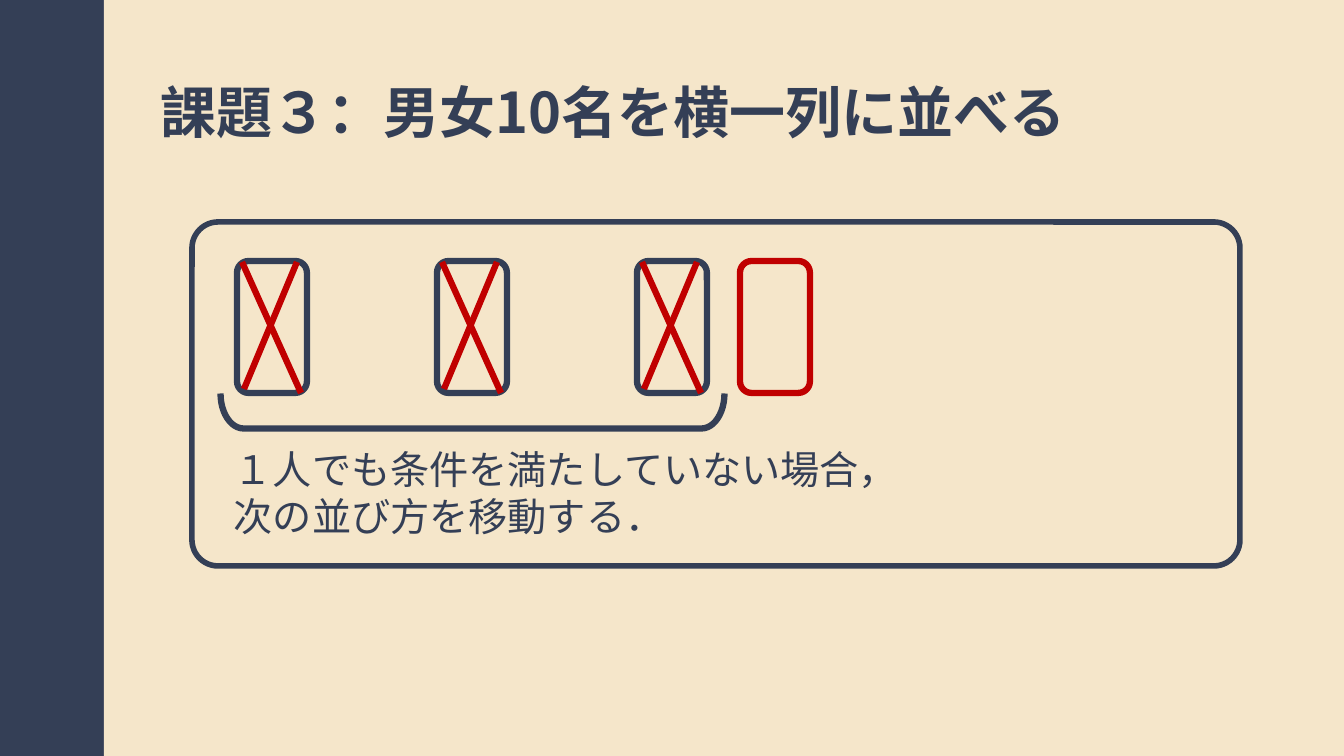
from lxml.etree import SubElement
from pptx import Presentation
from pptx.dml.color import RGBColor
from pptx.enum.shapes import MSO_CONNECTOR, MSO_SHAPE
from pptx.enum.text import MSO_ANCHOR, MSO_AUTO_SIZE, PP_ALIGN
from pptx.oxml.ns import qn
from pptx.util import Emu, Pt

COLORS = {"navy": "343F56", "cream": "F5E6CA", "red": "C00000"}
FONT = "Noto Sans CJK JP"
TITLE = {"size": Pt(40), "bold": True, "name": FONT}
NOTE = {"size": Pt(28), "bold": False, "name": FONT}
CARD_SIZE = (70, 132)
CARD_STEP = 200


def px(length):
    """Turn slide pixels into EMU."""
    return Emu(round(length * 914400 / 100.8))


def color(name):
    """Look up a named colour."""
    return RGBColor.from_string(COLORS[name])


def write(box, text, style, frame_style, paragraph_style):
    """Put one formatted paragraph into a shape."""
    frame = box.text_frame
    para = frame.paragraphs[0]
    span = para.add_run()
    span.text = text
    for target, values in ((frame, frame_style), (para, paragraph_style),
                           (span.font, style)):
        for key, value in values.items():
            setattr(target, key, value)
    span.font.color.rgb = color("navy")
    SubElement(span.font._element, qn("a:ea"), typeface=FONT)


def add_outline(page, kind, box, line, width, adjustment=None):
    """Draw an unfilled preset shape."""
    shape = page.shapes.add_shape(kind, *map(px, box))
    shape.shadow.inherit = False
    shape.fill.background()
    shape.line.color.rgb = color(line)
    shape.line.width = Pt(width)
    if adjustment is not None:
        shape.adjustments[0] = adjustment
    return shape


def add_cross(page, left, top):
    """Cross out the card that starts at the given corner."""
    for start_x, start_y, end_x, end_y in ((5, 1, 64, 132), (60, 1, 7, 128)):
        stroke = page.shapes.add_connector(
            MSO_CONNECTOR.STRAIGHT, px(left + start_x), px(top + start_y),
            px(left + end_x), px(top + end_y))
        stroke.line.color.rgb = color("red")
        stroke.line.width = Pt(4.5)
        SubElement(stroke._element.spPr, qn("a:effectLst"))


def add_background(page, left, top, width, height):
    """Colour the page navy and lay the cream sheet on it."""
    page.background.fill.solid()
    page.background.fill.fore_color.rgb = color("navy")
    sheet = page.shapes.add_shape(
        MSO_SHAPE.RECTANGLE, *map(px, (left, top, width, height)))
    sheet.shadow.inherit = False
    sheet.fill.solid()
    sheet.fill.fore_color.rgb = color("cream")
    sheet.line.fill.background()


def add_title(page, left, top, width, height):
    """Place the title placeholder above the sheet."""
    title = page.shapes.title
    bounds = map(px, (left, top, width, height))
    for key, value in zip(("left", "top", "width", "height"), bounds):
        setattr(title, key, value)
    write(title, "課題３：男女10名を横一列に並べる", TITLE,
          {"vertical_anchor": MSO_ANCHOR.BOTTOM, "word_wrap": True,
           "auto_size": MSO_AUTO_SIZE.NONE},
          {"alignment": PP_ALIGN.LEFT, "line_spacing": 0.9})
    page.shapes._spTree.append(title._element)


def add_panel(page, left, top, width, height):
    """Draw the framed row of cards, its bracket and the note."""
    add_outline(page, MSO_SHAPE.ROUNDED_RECTANGLE,
                (left, top, width, height), "navy", 4, 0.076)
    card_left, card_top = left + 45, top + 39
    for index in range(3):
        corner = (card_left + index * CARD_STEP, card_top)
        add_outline(page, MSO_SHAPE.ROUNDED_RECTANGLE,
                    corner + CARD_SIZE, "navy", 4.5)
        add_cross(page, *corner)
    add_outline(page, MSO_SHAPE.ROUNDED_RECTANGLE,
                (left + 548, card_top) + CARD_SIZE, "red", 4.5)
    bracket = add_outline(page, MSO_SHAPE.RIGHT_BRACKET,
                          (left + 263, top - 63, 35, 504), "navy", 4.5, 0.658)
    bracket.rotation = 90
    note = page.shapes.add_textbox(
        *map(px, (left + 32, top + 218, 703, 105)))
    write(note, "１人でも条件を満たしていない場合，次の並び方を移動する．", NOTE,
          {"word_wrap": True, "auto_size": MSO_AUTO_SIZE.SHAPE_TO_FIT_TEXT},
          {"alignment": PP_ALIGN.LEFT})


def main():
    """Build and save the slide."""
    deck = Presentation()
    deck.slide_width, deck.slide_height = px(1344), px(756)
    page = deck.slides.add_slide(deck.slide_layouts.get_by_name("Title Only"))
    add_background(page, 104, 0, 1240, 756)
    add_title(page, 150, -26, 1204, 177)
    add_panel(page, 192, 222, 1048, 344)
    deck.save("out.pptx")


if __name__ == "__main__":
    main()
